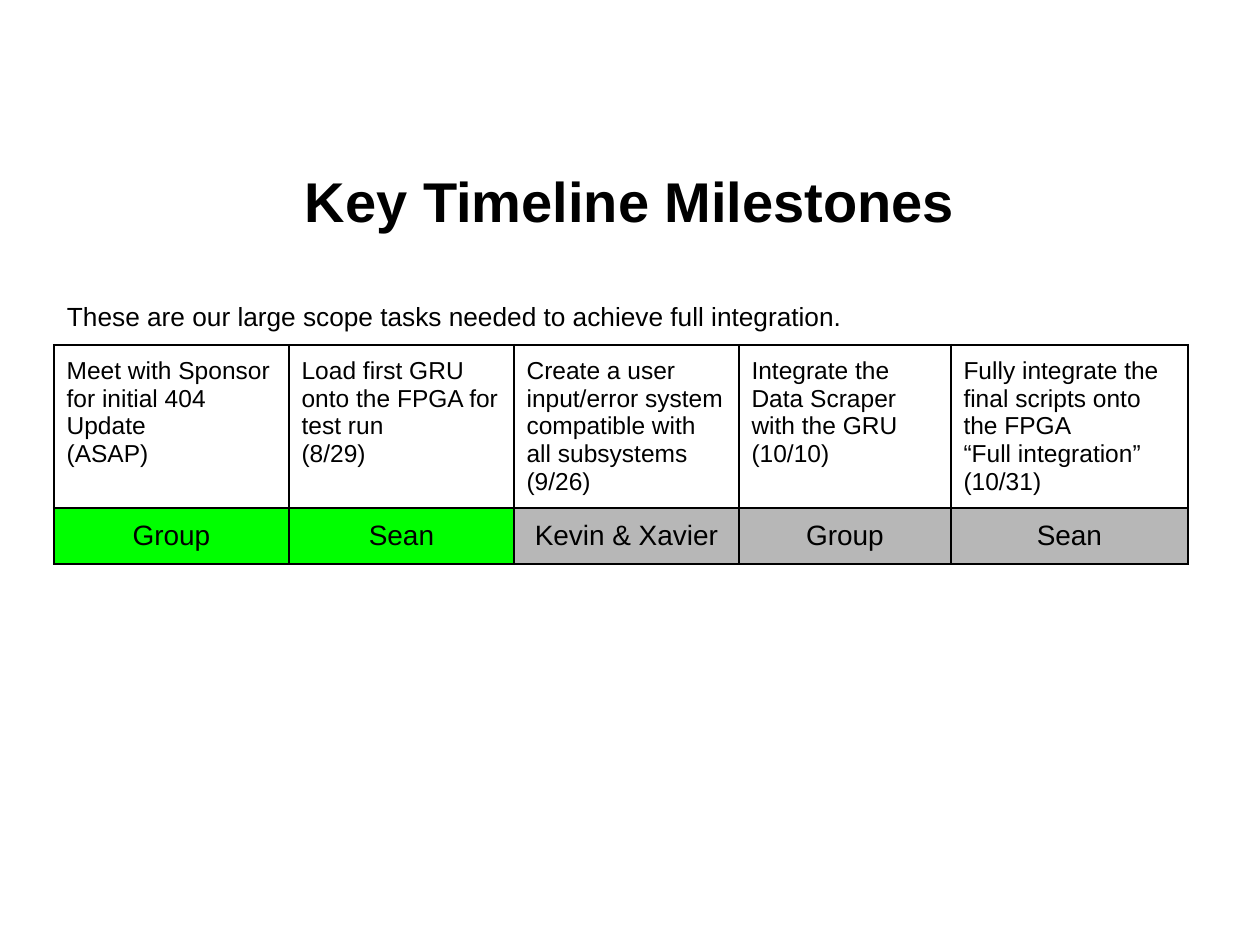
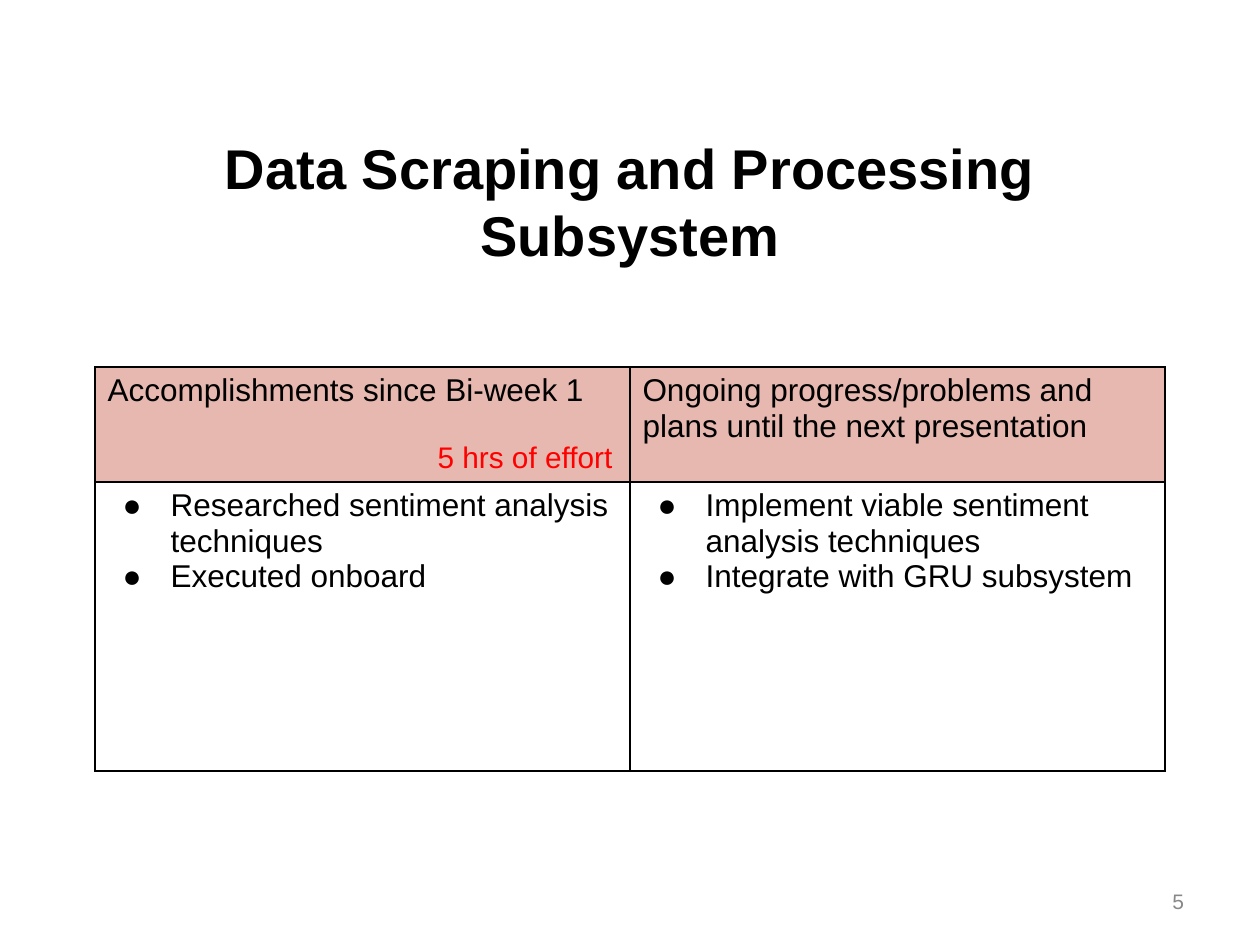
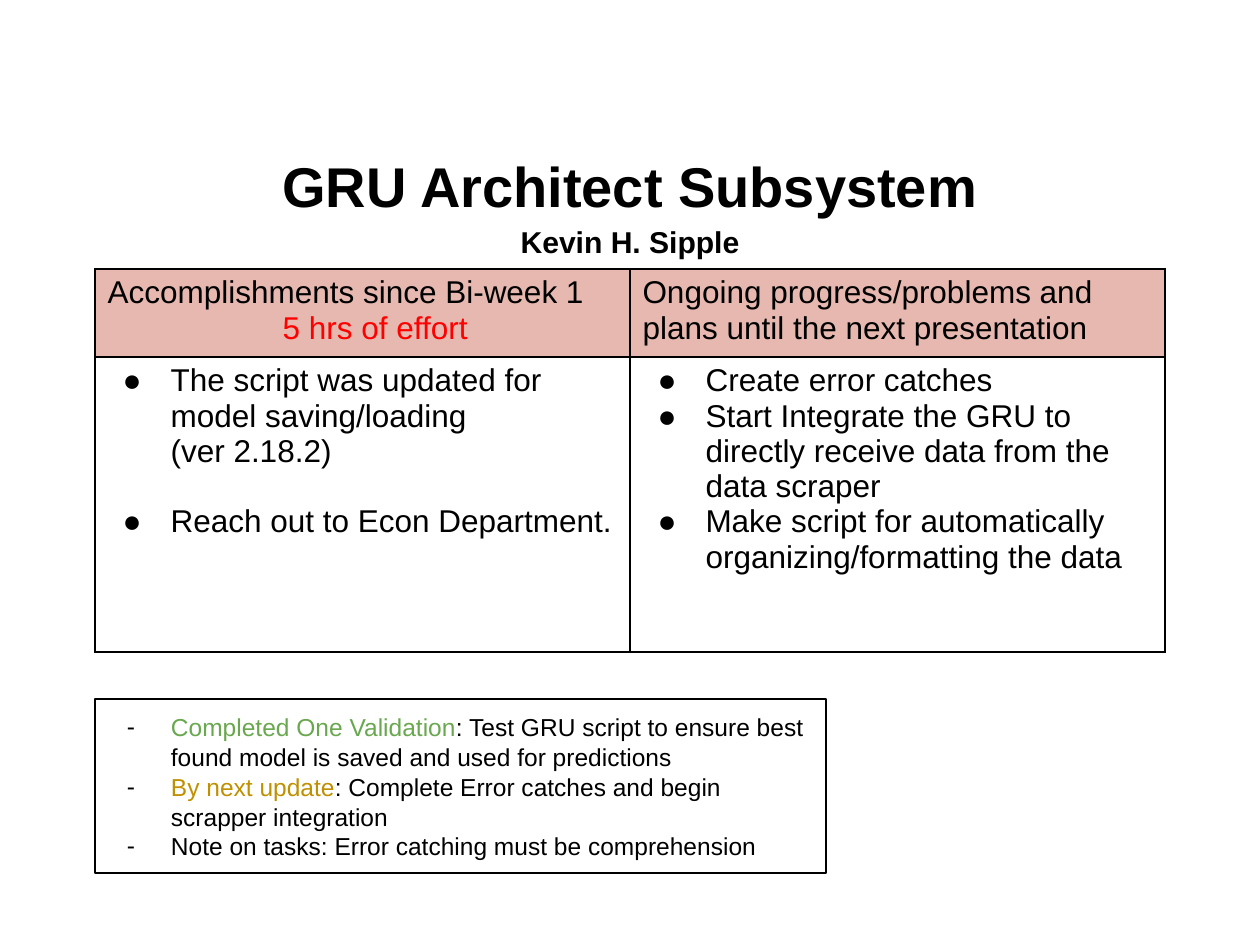
from dataclasses import dataclass

from lxml.etree import SubElement
from pptx import Presentation
from pptx.dml.color import RGBColor
from pptx.enum.shapes import MSO_SHAPE
from pptx.enum.text import MSO_ANCHOR, MSO_AUTO_SIZE, PP_ALIGN
from pptx.oxml.ns import qn
from pptx.util import Emu, Pt

PX = 7257.14
FONT = "Arial"
COLORS = {
    "black": "000000",
    "done": "00FF00",
    "pending": "B7B7B7",
    "header": "E6B8AF",
    "effort": "FF0000",
    "validated": "6AA84F",
    "upcoming": "BF9000",
    "number": "888888",
}


@dataclass
class Line:
    text: str
    size: float = 18
    color: str = "black"
    bold: bool = False
    align: PP_ALIGN = PP_ALIGN.LEFT
    indent: int = 0
    hang: int = 0
    bullet: str = ""
    before: float = 0
    spacing: object = None
    lead: str = ""
    lead_color: str = "black"


def bullets(*texts):
    return [Line(text, indent=63, hang=48, bullet="●") for text in texts]


def note(text, lead="", lead_color="black"):
    return Line(text, 14, indent=63, hang=44, bullet="-", spacing=Pt(17),
                lead=lead, lead_color=lead_color)


TITLE_AREA = (63, 145, 1134, 111)

MILESTONES = [
    (["Meet with Sponsor for initial 404 Update", "(ASAP)"], "Group", "done"),
    (["Load first GRU onto the FPGA for test run", "(8/29)"], "Sean", "done"),
    (["Create a user input/error system compatible with all subsystems", "(9/26)"],
     "Kevin & Xavier", "pending"),
    (["Integrate the Data Scraper with the GRU", "(10/10)"], "Group", "pending"),
    (["Fully integrate the final scripts onto the FPGA", "“Full integration”", "(10/31)"],
     "Sean", "pending"),
]
MILESTONE_WIDTHS = [235, 225, 225, 212, 237]
MILESTONE_INTRO = "These are our large scope tasks needed to achieve full integration."

ACCOMPLISHED = "Accomplishments since Bi-week 1"
ONGOING = "Ongoing progress/problems and plans until the next presentation"
EFFORT = "5 hrs of effort"

SCRAPING = {
    "title": [("Data Scraping and Processing Subsystem", 32)],
    "title_spacing": None,
    "top": 367,
    "heights": [115, 289],
    "effort": Line(EFFORT, 17, "effort", indent=330, before=19),
    "accomplished": bullets("Researched sentiment analysis techniques", "Executed onboard"),
    "ongoing": bullets("Implement viable sentiment analysis techniques",
                       "Integrate with GRU subsystem"),
}

ARCHITECT = {
    "title": [("GRU Architect Subsystem", 32), ("Kevin H. Sipple", 17.2)],
    "title_spacing": 1.15,
    "top": 269,
    "heights": [88, 295],
    "effort": Line(EFFORT, 18, "effort", indent=175),
    "accomplished": [
        *bullets("The script was updated for model saving/loading"),
        Line("(ver 2.18.2)", indent=63),
        Line("Reach out to Econ Department.", indent=63, hang=48, bullet="●", before=20),
    ],
    "ongoing": bullets(
        "Create error catches",
        "Start Integrate the GRU to directly receive data from the data scraper",
        "Make script for automatically organizing/formatting the data",
    ),
}

VALIDATION_NOTES = [
    note(": Test GRU script to ensure best found model is saved and used for predictions",
         "Completed One Validation", "validated"),
    note(": Complete Error catches and begin scrapper integration",
         "By next update", "upcoming"),
    note("Note on tasks: Error catching must be comprehension"),
]


def px(length):
    return Emu(round(length * PX))


def area(*lengths):
    return [px(length) for length in lengths]


def rgb(name):
    return RGBColor.from_string(COLORS[name])


def add_span(para, text, line, color):
    span = para.add_run()
    span.text = text
    span.font.name = FONT
    span.font.size = Pt(line.size)
    span.font.bold = line.bold
    span.font.color.rgb = rgb(color)


def write(frame, lines):
    for index, line in enumerate(lines):
        para = frame.paragraphs[0] if index == 0 else frame.add_paragraph()
        if line.lead:
            add_span(para, line.lead, line, line.lead_color)
        add_span(para, line.text, line, line.color)
        para.alignment = line.align
        para.space_before = Pt(line.before)
        if line.spacing:
            para.line_spacing = line.spacing
        properties = para._p.get_or_add_pPr()
        properties.set("marL", str(px(line.indent)))
        properties.set("indent", str(-px(line.hang)))
        if line.bullet:
            bullet_color = SubElement(properties, qn("a:buClr"))
            SubElement(bullet_color, qn("a:srgbClr"), val=COLORS["black"])
            SubElement(properties, qn("a:buFont"), typeface=FONT)
            SubElement(properties, qn("a:buChar"), char=line.bullet)


def set_frame(frame, anchor, vertical=6):
    frame.word_wrap = True
    frame.auto_size = MSO_AUTO_SIZE.NONE
    frame.vertical_anchor = anchor
    frame.margin_left = frame.margin_right = px(13)
    frame.margin_top = frame.margin_bottom = px(vertical)


def add_page(deck, title, spacing=None):
    page = deck.slides.add_slide(deck.slide_layouts[5])
    box = page.shapes.title
    box.left, box.top, box.width, box.height = area(*TITLE_AREA)
    set_frame(box.text_frame, MSO_ANCHOR.MIDDLE)
    write(box.text_frame, [
        Line(text, size, bold=True, align=PP_ALIGN.CENTER, spacing=spacing)
        for text, size in title
    ])
    return page


def add_text(page, place, line, anchor):
    box = page.shapes.add_textbox(*area(*place))
    set_frame(box.text_frame, anchor)
    write(box.text_frame, [line])
    return box


def add_grid(page, left, top, widths, heights, rows, border, vertical):
    table = page.shapes.add_table(
        len(heights), len(widths), *area(left, top, sum(widths), sum(heights))
    ).table
    table.first_row = table.horz_banding = False
    for column, width in zip(table.columns, widths):
        column.width = px(width)
    for row, height, contents in zip(table.rows, heights, rows):
        row.height = px(height)
        for cell, (lines, fill) in zip(row.cells, contents):
            cell.margin_left = cell.margin_right = px(12.6)
            cell.margin_top = cell.margin_bottom = px(vertical)
            write(cell.text_frame, lines)
            properties = cell._tc.get_or_add_tcPr()
            for side in ("lnL", "lnR", "lnT", "lnB"):
                edge = SubElement(properties, qn(f"a:{side}"), w=str(Pt(border)))
                paint = SubElement(edge, qn("a:solidFill"))
                SubElement(paint, qn("a:srgbClr"), val=COLORS["black"])
            if fill:
                cell.fill.solid()
                cell.fill.fore_color.rgb = rgb(fill)
            else:
                cell.fill.background()


def add_milestones(deck):
    page = add_page(deck, [("Key Timeline Milestones", 32)])
    intro = add_text(page, (54, 256, 1134, 562), Line(MILESTONE_INTRO, 15), MSO_ANCHOR.TOP)
    intro.text_frame.margin_top = px(44)
    tasks = [([Line(text, 14) for text in texts], None) for texts, _, _ in MILESTONES]
    owners = [([Line(owner, 16, align=PP_ALIGN.CENTER)], status)
              for _, owner, status in MILESTONES]
    add_grid(page, 54, 345, MILESTONE_WIDTHS, [162, 56], [tasks, owners], 1.5, 12.6)


def add_subsystem(deck, subsystem):
    page = add_page(deck, subsystem["title"], subsystem["title_spacing"])
    rows = [
        [([Line(ACCOMPLISHED), subsystem["effort"]], "header"), ([Line(ONGOING)], "header")],
        [(subsystem["accomplished"], None), (subsystem["ongoing"], None)],
    ]
    add_grid(page, 95, subsystem["top"], [535, 535], subsystem["heights"], rows, 1, 6.3)
    return page


def add_notes_box(page):
    box = page.shapes.add_shape(MSO_SHAPE.RECTANGLE, *area(95, 699, 731, 174))
    box.shadow.inherit = False
    box.fill.background()
    box.line.color.rgb = rgb("black")
    box.line.width = Pt(0.75)
    set_frame(box.text_frame, MSO_ANCHOR.TOP, 13)
    write(box.text_frame, VALIDATION_NOTES)


def main():
    deck = Presentation()
    deck.slide_width, deck.slide_height = area(1260, 945)
    add_milestones(deck)
    scraping = add_subsystem(deck, SCRAPING)
    add_text(scraping, (903, 876, 294, 50),
             Line("5", 12, "number", align=PP_ALIGN.RIGHT), MSO_ANCHOR.MIDDLE)
    add_notes_box(add_subsystem(deck, ARCHITECT))
    deck.save("out.pptx")


if __name__ == "__main__":
    main()
